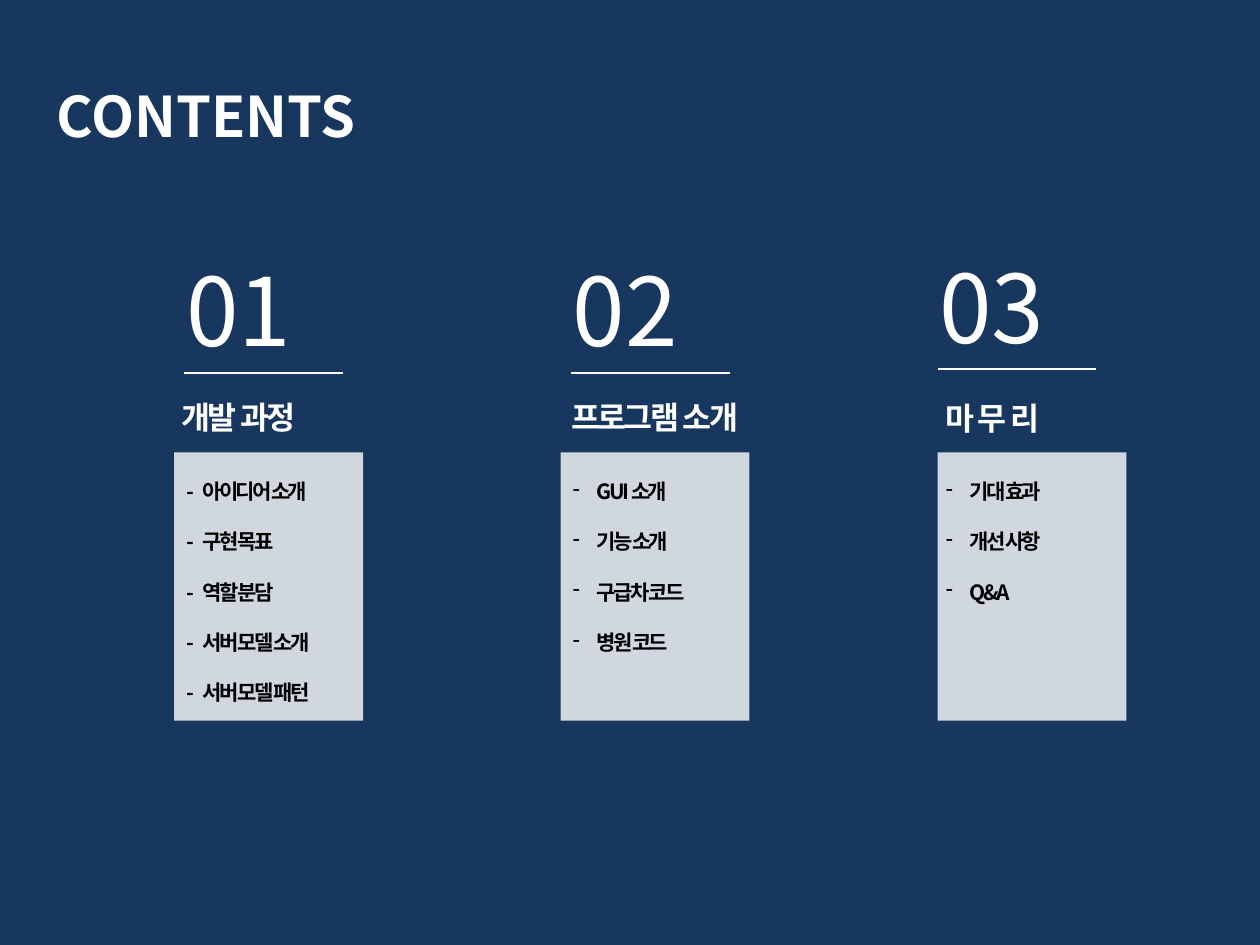
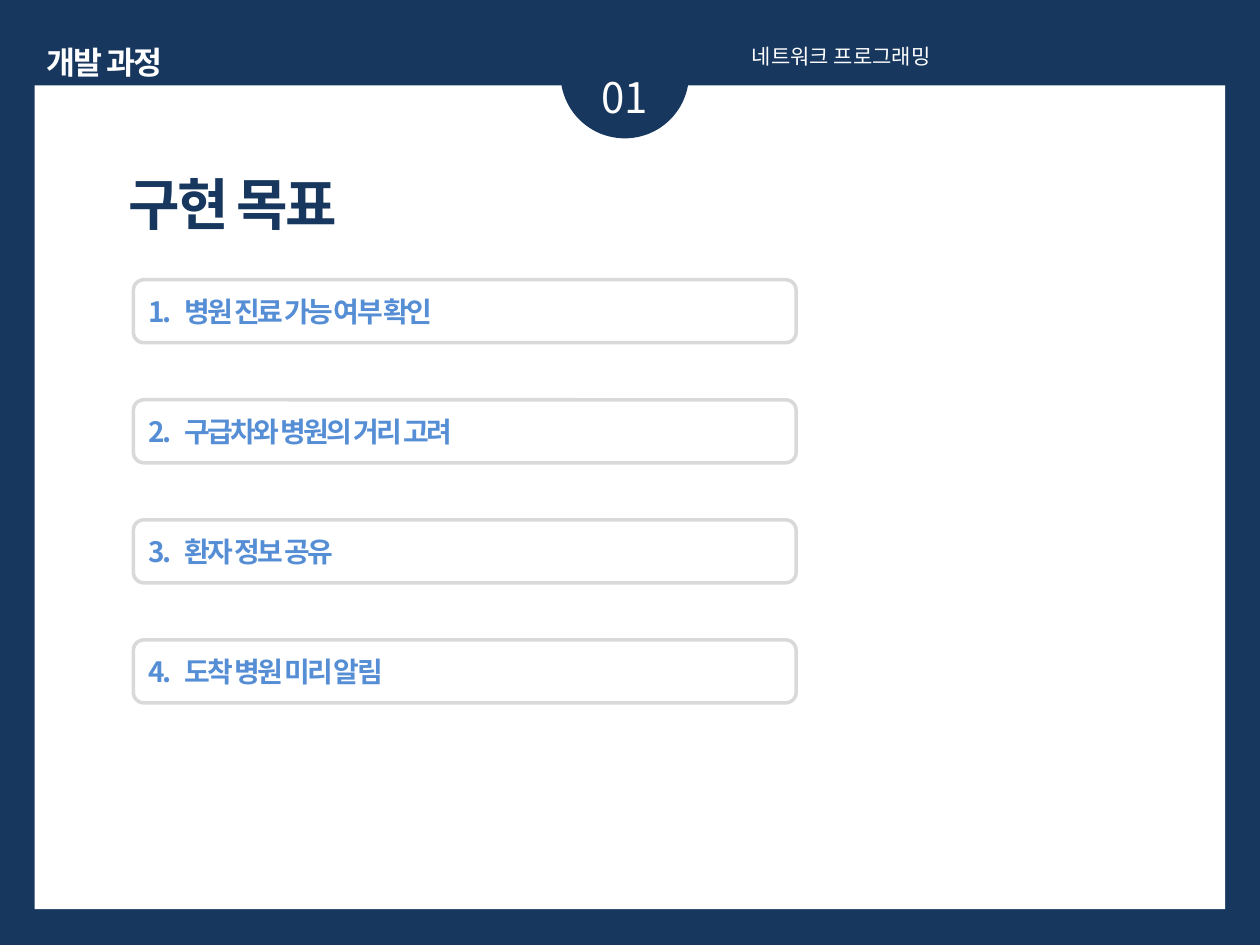
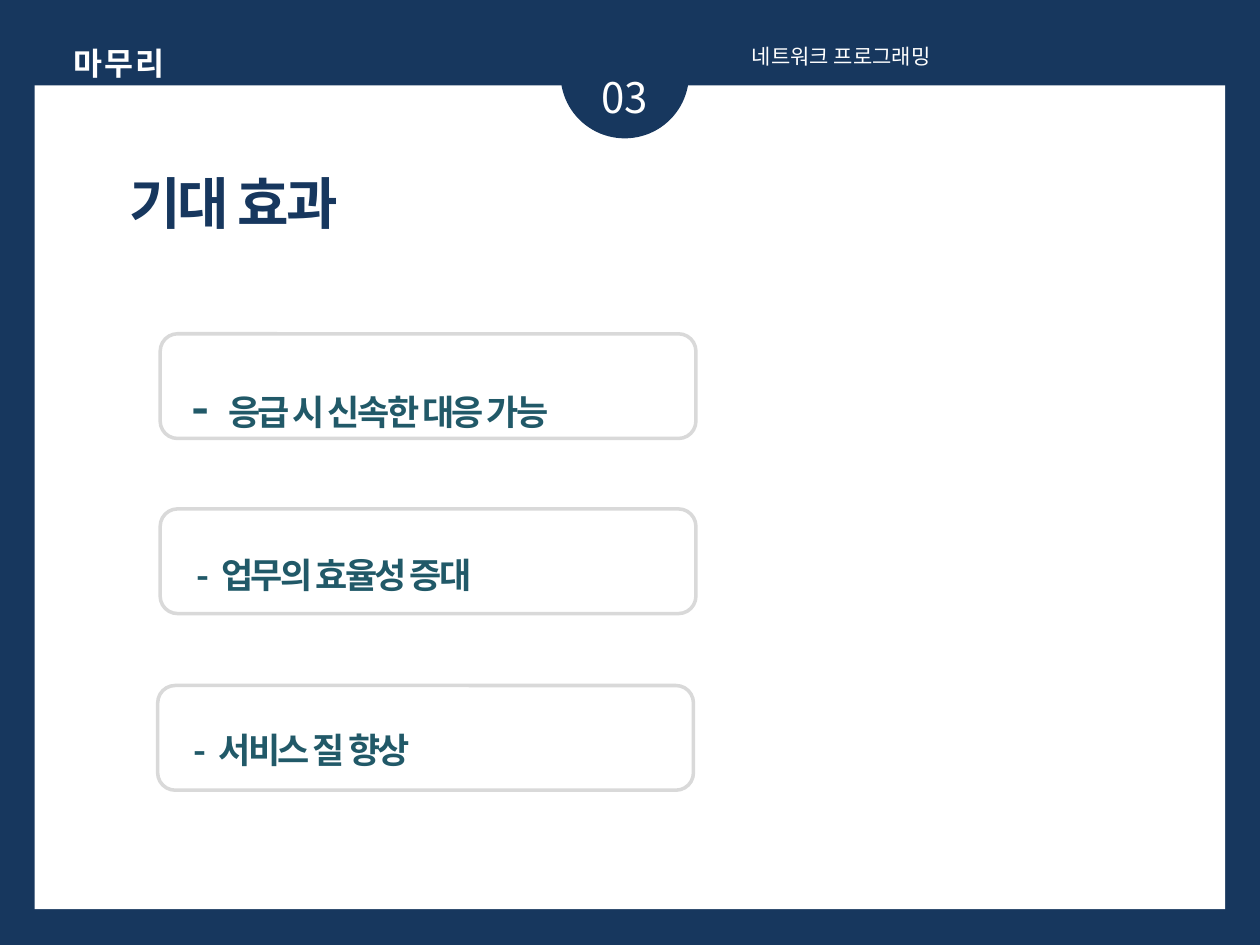
"""Build three slides of a network programming project talk."""
from dataclasses import dataclass

from lxml import etree
from pptx import Presentation
from pptx.dml.color import RGBColor
from pptx.enum.shapes import MSO_CONNECTOR, MSO_SHAPE
from pptx.enum.text import MSO_ANCHOR, PP_ALIGN
from pptx.oxml.ns import qn
from pptx.util import Cm, Pt

RECT, OVAL, ROUND = MSO_SHAPE.RECTANGLE, MSO_SHAPE.OVAL, MSO_SHAPE.ROUNDED_RECTANGLE
LEFT, CENTER, JUSTIFY = PP_ALIGN.LEFT, PP_ALIGN.CENTER, PP_ALIGN.JUSTIFY
STRAIGHT, MIDDLE = MSO_CONNECTOR.STRAIGHT, MSO_ANCHOR.MIDDLE


@dataclass(frozen=True)
class Theme:
    font: str = "Noto Sans CJK KR"
    head_font: str = "Arial"
    navy: str = "17375E"
    white: str = "FFFFFF"
    black: str = "000000"
    blue: str = "558ED5"
    teal: str = "215968"
    grey: str = "D9D9D9"
    number: int = 54
    title: int = 32
    dash: int = 28
    badge: int = 24
    effect: int = 20
    heading: int = 18
    goal: int = 16
    small: int = 12
    tight: float = -1.5


T = Theme()
COURSE = "네트워크 프로그래밍"
SECTIONS = [
    dict(number="01", heading="개발 과정", card_x=3.51, number_at=(3.51, 4.95),
         rule_at=(3.71, 7.52), heading_box=(2.9, 7.9, 3.81), list_x=3.51, bullet=None,
         topics=["아이디어 소개", "구현 목표", "역할 분담", "서버 모델 소개", "서버 모델 패턴"]),
    dict(number="02", heading="프로그램 소개", card_x=11.3, number_at=(11.3, 4.95),
         rule_at=(11.51, 7.52), heading_box=(10.9, 7.9, 4.6), list_x=11.3, bullet="-",
         topics=["GUI 소개", "기능 소개", "구급차 코드", "병원 코드"]),
    dict(number="03", heading="마 무 리", card_x=18.9, number_at=(18.69, 4.9),
         rule_at=(18.9, 7.44), heading_box=(17.7, 7.92, 4.6), list_x=18.82, bullet="-",
         topics=["기대 효과", "개선 사항", "Q&A"]),
]
GOALS = ["병원 진료 가능 여부 확인", "구급차와 병원의 거리 고려", "환자 정보 공유", "도착 병원 미리 알림"]
EFFECTS = [
    dict(text="응급 시 신속한 대응 가능", box=(3.61, 6.27, 9.35, 2.26),
         card=(3.23, 6.73), dash=T.dash, lead=0, hang=0.74),
    dict(text="업무의 효율성 증대", box=(3.56, 10.19, 15.54, 1.7),
         card=(3.23, 10.26), dash=T.effect, lead=0.15, hang=0.65),
    dict(text="서비스 질 향상", box=(3.51, 13.72, 15.54, 1.7),
         card=(3.18, 13.82), dash=T.effect, lead=0.15, hang=0.65),
]


def rgb(color):
    return RGBColor.from_string(color)


def style(r, size, color, bold=False, spacing=0, font=T.font):
    r.font.size, r.font.bold, r.font.name = Pt(size), bold, font
    r.font.color.rgb = rgb(color)
    props = r._r.get_or_add_rPr()
    if spacing:
        props.set("spc", str(round(spacing * 100)))
    props.find(qn("a:latin")).addnext(etree.Element(qn("a:ea"), typeface=font))


def hang_indent(p, hang, lead=0, bullet=None):
    props = p._p.get_or_add_pPr()
    props.set("marL", str(Cm(hang)))
    props.set("indent", str(Cm(lead - hang)))
    if bullet:
        etree.SubElement(props, qn("a:buChar"), char=bullet)


def add_text(s, box, text, size, color, align=LEFT, wrap=True, **look):
    tf = s.shapes.add_textbox(*map(Cm, box)).text_frame
    tf.word_wrap = wrap
    tf.text = text
    for p in tf.paragraphs:
        p.alignment = align
        for r in p.runs:
            style(r, size, color, **look)
    return tf


def add_block(s, kind, box, fill=None, line=None, opacity=100):
    sp = s.shapes.add_shape(kind, *map(Cm, box))
    sp.shadow.inherit = False
    if fill:
        sp.fill.solid()
        sp.fill.fore_color.rgb = rgb(fill)
    else:
        sp.fill.background()
    if line:
        sp.line.color.rgb = rgb(line)
        sp.line.width = Pt(2)
    else:
        sp.line.fill.background()
    if opacity < 100:
        color = sp._element.spPr.find(qn("a:solidFill"))[0]
        etree.SubElement(color, qn("a:alpha"), val=str(opacity * 1000))
    return sp


def add_rule(s, x, y, length):
    rule = s.shapes.add_connector(STRAIGHT, Cm(x), Cm(y), Cm(x + length), Cm(y))
    rule.line.color.rgb = rgb(T.white)
    rule.line.width = Pt(0.75)
    etree.SubElement(rule._element.spPr, qn("a:effectLst"))


def new_slide(prs):
    s = prs.slides.add_slide(prs.slide_layouts[6])
    s.background.fill.solid()
    s.background.fill.fore_color.rgb = rgb(T.navy)
    return s


def section_slide(prs, number, heading, heading_box, spacing, title, title_box):
    s = new_slide(prs)
    add_block(s, RECT, (0.7, 1.72, 24, 16.61), T.white)
    add_block(s, OVAL, (11.3, 0.2, 2.59, 2.59), T.navy)
    add_text(s, heading_box, heading, T.heading, T.white, CENTER, wrap=False,
             bold=True, spacing=spacing)
    add_text(s, (11.1, 1.32, 3, 1.27), number, T.badge, T.white, CENTER)
    add_text(s, (14.91, 0.76, 10, 0.76), COURSE, T.small, T.white, JUSTIFY)
    add_text(s, title_box, title, T.title, T.navy, CENTER, bold=True, spacing=T.tight)
    return s


def contents_slide(prs):
    s = new_slide(prs)
    add_text(s, (0.89, 1.52, 12.4, 1.63), "CONTENTS", T.title, T.white, bold=True)
    for sec in SECTIONS:
        add_block(s, RECT, (sec["card_x"], 9.12, 3.81, 5.41), T.white, opacity=80)
        add_text(s, (*sec["number_at"], 3.4, 2.57), sec["number"], T.number, T.white)
        add_rule(s, *sec["rule_at"], 3.2)
        add_text(s, (*sec["heading_box"], 1.02), sec["heading"], T.heading, T.white,
                 CENTER, bold=True, spacing=T.tight, font=T.head_font)
        bullet = sec["bullet"]
        mark = "" if bullet else "-\t"
        tf = add_text(s, (sec["list_x"], 9.52, 3.81, 4.88),
                      "\n".join(mark + topic for topic in sec["topics"]),
                      T.small, T.black, bold=True, spacing=T.tight)
        for i, p in enumerate(tf.paragraphs):
            hang_indent(p, 0.48 if bullet else 0.32, bullet=bullet)
            if i:
                p.space_before = Pt(14.4)


def goals_slide(prs):
    s = section_slide(prs, "01", "개발 과정", (0.51, 0.74, 3.2, 1.02), -1,
                      "구현 목표", (0.79, 3.3, 7.8, 1.63))
    for i, goal in enumerate(GOALS):
        sp = add_block(s, ROUND, (2.69, 5.64 + 2.42 * i, 13.36, 1.27), line=T.grey)
        tf = sp.text_frame
        tf.vertical_anchor = MIDDLE
        tf.text = f"{i + 1}.\t{goal}"
        p = tf.paragraphs[0]
        p.alignment = LEFT
        hang_indent(p, 0.72)
        style(p.runs[0], T.goal, T.blue, True, T.tight)


def effects_slide(prs):
    s = section_slide(prs, "03", "마 무 리", (1.09, 0.76, 2.62, 1.02), T.tight,
                      "기대 효과", (1.3, 3.28, 6.81, 1.63))
    for effect in EFFECTS:
        tf = add_text(s, effect["box"], "-", effect["dash"], T.teal,
                      bold=True, spacing=T.tight)
        p = tf.paragraphs[0]
        hang_indent(p, effect["hang"], effect["lead"])
        p.line_spacing = 2.0
        r = p.add_run()
        r.text = "\t" + effect["text"]
        style(r, T.effect, T.teal, True, T.tight)
        add_block(s, ROUND, (*effect["card"], 10.8, 2.11), line=T.grey)


def main():
    prs = Presentation()
    prs.slide_width, prs.slide_height = Cm(25.4), Cm(19.05)
    contents_slide(prs)
    goals_slide(prs)
    effects_slide(prs)
    prs.save("out.pptx")


if __name__ == "__main__":
    main()
